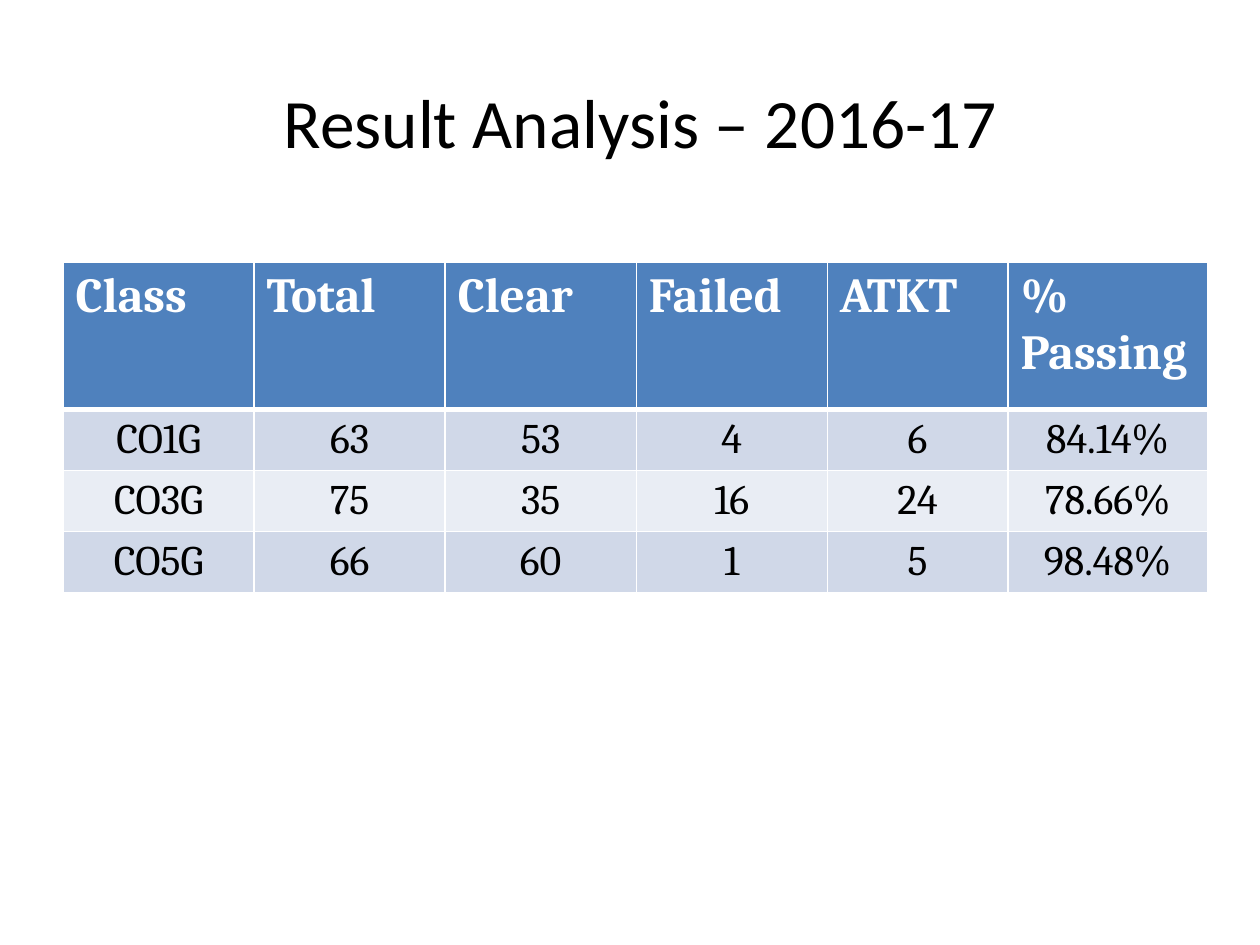
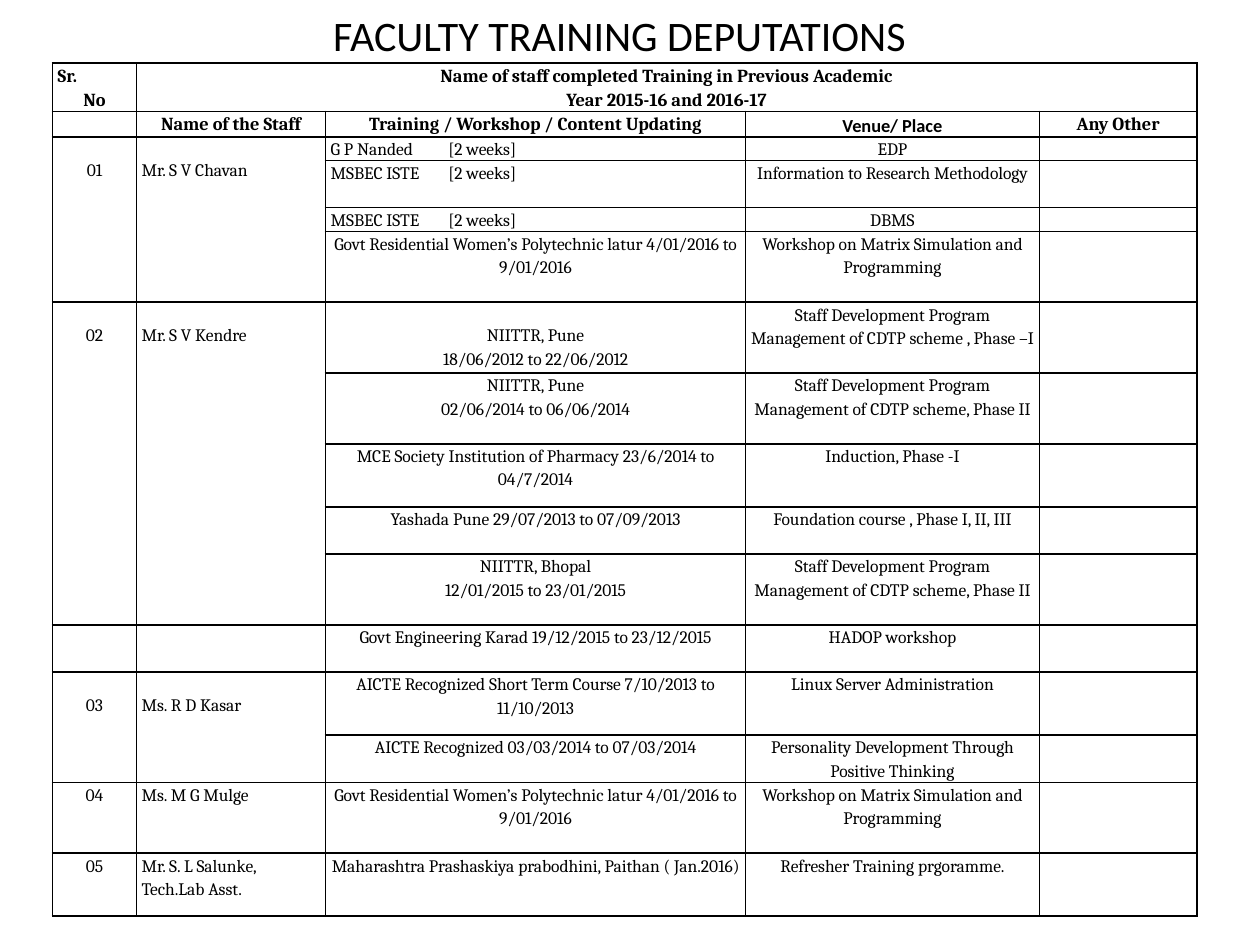
import dataclasses

import lxml.etree
import pptx
import pptx.dml.color
import pptx.enum.text
import pptx.oxml.ns
import pptx.util

LEFT = pptx.enum.text.PP_ALIGN.LEFT
CENTER = pptx.enum.text.PP_ALIGN.CENTER


@dataclasses.dataclass(frozen=True)
class Theme:
    ink: str = "000000"
    paper: str = "FFFFFF"
    header: str = "4F81BD"
    bands: tuple = ("D0D8E8", "E9EDF4")
    title_font: str = "Calibri"
    table_font: str = "Cambria"
    main_title: float = 39.6
    small_title: float = 24
    result_head: float = 28
    result_body: float = 24
    training_head: float = 10.5
    training_body: float = 10
    columns: int = 120
    rows: int = 90


RESULT_HEADS = ["Class", "Total", "Clear", "Failed", "ATKT", "% Passing"]
RESULTS = [
    ["CO1G", "63", "53", "4", "6", "84.14%"],
    ["CO3G", "75", "35", "16", "24", "78.66%"],
    ["CO5G", "66", "60", "1", "5", "98.48%"],
]
RESULT_WIDTHS = [18.2, 18.2, 18.2, 18.2, 17.2, 19]
RESULT_HEIGHTS = [14, 5.8, 5.8, 5.8]

TRAINING_HEADS = ["Name of the Staff", "Training / Workshop / Content Updating",
                  "Venue/ Place", "Any Other"]
TRAINING_WIDTHS = [8, 18, 40, 28, 15]
HEAD_HEIGHTS = [4.6, 2.4]
LATUR = "Govt Residential Women’s Polytechnic latur 4/01/2016 to 9/01/2016"
SIMULATION = "Workshop on Matrix Simulation and Programming"
PHASE_TWO = "Staff Development Program Management of CDTP scheme, Phase II"
STAFF = [
    ("01", "Mr. S V Chavan", [
        (2.25, "G P Nanded\t[2 weeks]", "EDP"),
        (4.5, "MSBEC ISTE\t[2 weeks]", "Information to Research Methodology"),
        (2.25, "MSBEC ISTE\t[2 weeks]", "DBMS"),
        (6.75, LATUR, SIMULATION)]),
    ("02", "Mr. S V Kendre", [
        (6.75, "NIITTR, Pune\n18/06/2012 to 22/06/2012",
         "Staff Development Program Management of CDTP scheme , Phase –I"),
        (6.75, "NIITTR, Pune\n02/06/2014 to 06/06/2014", PHASE_TWO),
        (6, "MCE Society Institution of Pharmacy 23/6/2014 to 04/7/2014",
         "Induction, Phase -I"),
        (4.5, "Yashada Pune 29/07/2013 to 07/09/2013",
         "Foundation course , Phase I, II, III"),
        (6.75, "NIITTR, Bhopal\n12/01/2015 to 23/01/2015", PHASE_TWO)]),
    ("", "", [
        (4.5, "Govt Engineering Karad 19/12/2015 to 23/12/2015", "HADOP workshop")]),
    ("03", "Ms. R D Kasar", [
        (6, "AICTE Recognized Short Term Course 7/10/2013 to 11/10/2013",
         "Linux Server Administration"),
        (4.5, "AICTE Recognized 03/03/2014 to 07/03/2014",
         "Personality Development Through Positive Thinking")]),
    ("04", "Ms. M G Mulge", [(6.75, LATUR, SIMULATION)]),
    ("05", "Mr. S. L Salunke, Tech.Lab Asst.", [
        (6, "Maharashtra Prashaskiya prabodhini, Paithan ( Jan.2016)",
         "Refresher Training prgoramme.")]),
]


class Deck:
    """Holds the theme and the current slide, and draws each kind of element."""

    def __init__(self, theme):
        self.theme = theme
        self.show = pptx.Presentation()
        self.show.slide_width = pptx.util.Inches(10)
        self.show.slide_height = pptx.util.Inches(7.5)
        self.slide = None

    def across(self, columns):
        return round(self.show.slide_width * columns / self.theme.columns)

    def down(self, rows):
        return round(self.show.slide_height * rows / self.theme.rows)

    def add_slide(self, title, left, top, size):
        self.slide = self.show.slides.add_slide(self.show.slide_layouts[5])
        heading = self.slide.shapes.title
        heading.left, heading.top = self.across(left), self.down(top)
        heading.width, heading.height = self.across(108), self.down(5)
        frame = heading.text_frame
        frame.auto_size = pptx.enum.text.MSO_AUTO_SIZE.NONE
        frame.vertical_anchor = pptx.enum.text.MSO_ANCHOR.MIDDLE
        frame.paragraphs[0].alignment = CENTER
        self.add_run(frame.paragraphs[0], title, size, font=self.theme.title_font)

    def add_run(self, paragraph, text, size, color=None, bold=False, font=None):
        run = paragraph.add_run()
        run.text = text
        run.font.size = pptx.util.Pt(size)
        run.font.name = font or self.theme.table_font
        run.font.bold = bold
        run.font.color.rgb = pptx.dml.color.RGBColor.from_string(color or self.theme.ink)

    def add_table(self, left, top, widths, heights):
        table = self.slide.shapes.add_table(
            len(heights), len(widths), self.across(left), self.down(top),
            self.across(sum(widths)), self.down(sum(heights))).table
        table.first_row = table.horz_banding = False
        for column, width in zip(table.columns, widths):
            column.width = self.across(width)
        for row, height in zip(table.rows, heights):
            row.height = self.down(height)
        return table

    def style_cell(self, cell, line, fill=None, top=1, bottom=1):
        if fill:
            cell.fill.solid()
            cell.fill.fore_color.rgb = pptx.dml.color.RGBColor.from_string(fill)
        else:
            cell.fill.background()
        qn = pptx.oxml.ns.qn
        properties = cell._tc.get_or_add_tcPr()
        edges = [("a:lnL", 1), ("a:lnR", 1), ("a:lnT", top), ("a:lnB", bottom)]
        for place, (edge, points) in enumerate(edges):
            border = lxml.etree.Element(qn(edge), w=str(pptx.util.Pt(points)))
            paint = lxml.etree.SubElement(border, qn("a:solidFill"))
            lxml.etree.SubElement(paint, qn("a:srgbClr"), val=line)
            properties.insert(place, border)

    def fill_cell(self, cell, text, size, align=CENTER, spacing=None, **look):
        frame = cell.text_frame
        for number, line in enumerate(text.split("\n")):
            paragraph = frame.add_paragraph() if number else frame.paragraphs[0]
            paragraph.alignment = align
            paragraph.line_spacing = spacing
            if "\t" in line:
                self.add_tab(paragraph, 11.2)
            if line:
                self.add_run(paragraph, line, size, **look)
            else:
                lxml.etree.SubElement(paragraph._p, pptx.oxml.ns.qn("a:endParaRPr"),
                                      sz=str(round(size * 100)))

    def add_tab(self, paragraph, columns):
        qn = pptx.oxml.ns.qn
        stops = lxml.etree.SubElement(paragraph._p.get_or_add_pPr(), qn("a:tabLst"))
        lxml.etree.SubElement(stops, qn("a:tab"), pos=str(self.across(columns)), algn="l")

    def fill_tight(self, cell, text, size, align=CENTER, drop=0, **look):
        cell.margin_left = cell.margin_right = self.across(0.5)
        cell.margin_top, cell.margin_bottom = self.down(drop), 0
        self.fill_cell(cell, text, size, align, spacing=1.15, **look)


def build_results(deck):
    theme = deck.theme
    deck.add_slide("Result Analysis – 2016-17", 7, 9, theme.main_title)
    table = deck.add_table(6, 25, RESULT_WIDTHS, RESULT_HEIGHTS)
    for column, head in enumerate(RESULT_HEADS):
        cell = table.cell(0, column)
        deck.style_cell(cell, theme.paper, theme.header, bottom=3)
        deck.fill_cell(cell, head, theme.result_head, LEFT, color=theme.paper, bold=True)
    for row, values in enumerate(RESULTS, 1):
        for column, value in enumerate(values):
            cell = table.cell(row, column)
            deck.style_cell(cell, theme.paper, theme.bands[(row - 1) % 2],
                            top=3 if row == 1 else 1)
            deck.fill_cell(cell, value, theme.result_body)


def build_training(deck):
    theme = deck.theme
    deck.add_slide("FACULTY TRAINING DEPUTATIONS", 5, 0.8, theme.small_title)
    heights = HEAD_HEIGHTS + [course[0] for person in STAFF for course in person[2]]
    table = deck.add_table(5, 6, TRAINING_WIDTHS, heights)
    for cell in table.iter_cells():
        deck.style_cell(cell, theme.ink)

    head_size, body_size = theme.training_head, theme.training_body
    serial, period = table.cell(0, 0), table.cell(0, 1)
    deck.fill_tight(serial, "Sr.\nNo", head_size, bold=True)
    serial.text_frame.paragraphs[0].alignment = LEFT
    period.merge(table.cell(0, 4))
    deck.fill_tight(period, "Name of staff completed Training in Previous Academic\n"
                    "Year 2015-16 and 2016-17", head_size, bold=True)
    deck.fill_tight(table.cell(1, 0), "", body_size)
    for column, head in enumerate(TRAINING_HEADS, 1):
        font = theme.title_font if head.startswith("Venue") else theme.table_font
        deck.fill_tight(table.cell(1, column), head, head_size, bold=True, font=font)

    row = len(HEAD_HEIGHTS)
    for number, name, courses in STAFF:
        last = row + len(courses) - 1
        drop = 2 if last > row else 0
        for column, text, align in ((0, number, CENTER), (1, name, LEFT)):
            cell = table.cell(row, column)
            if last > row:
                cell.merge(table.cell(last, column))
            deck.fill_tight(cell, text, body_size, align, drop)
        for height, training, venue in courses:
            align = LEFT if "\t" in training else CENTER
            lowered = 2 if training.endswith("22/06/2012") else 0
            deck.fill_tight(table.cell(row, 2), training, body_size, align, lowered)
            deck.fill_tight(table.cell(row, 3), venue, body_size)
            deck.fill_tight(table.cell(row, 4), "", body_size)
            row += 1


def main():
    deck = Deck(Theme())
    build_results(deck)
    build_training(deck)
    deck.show.save("out.pptx")


if __name__ == "__main__":
    main()
